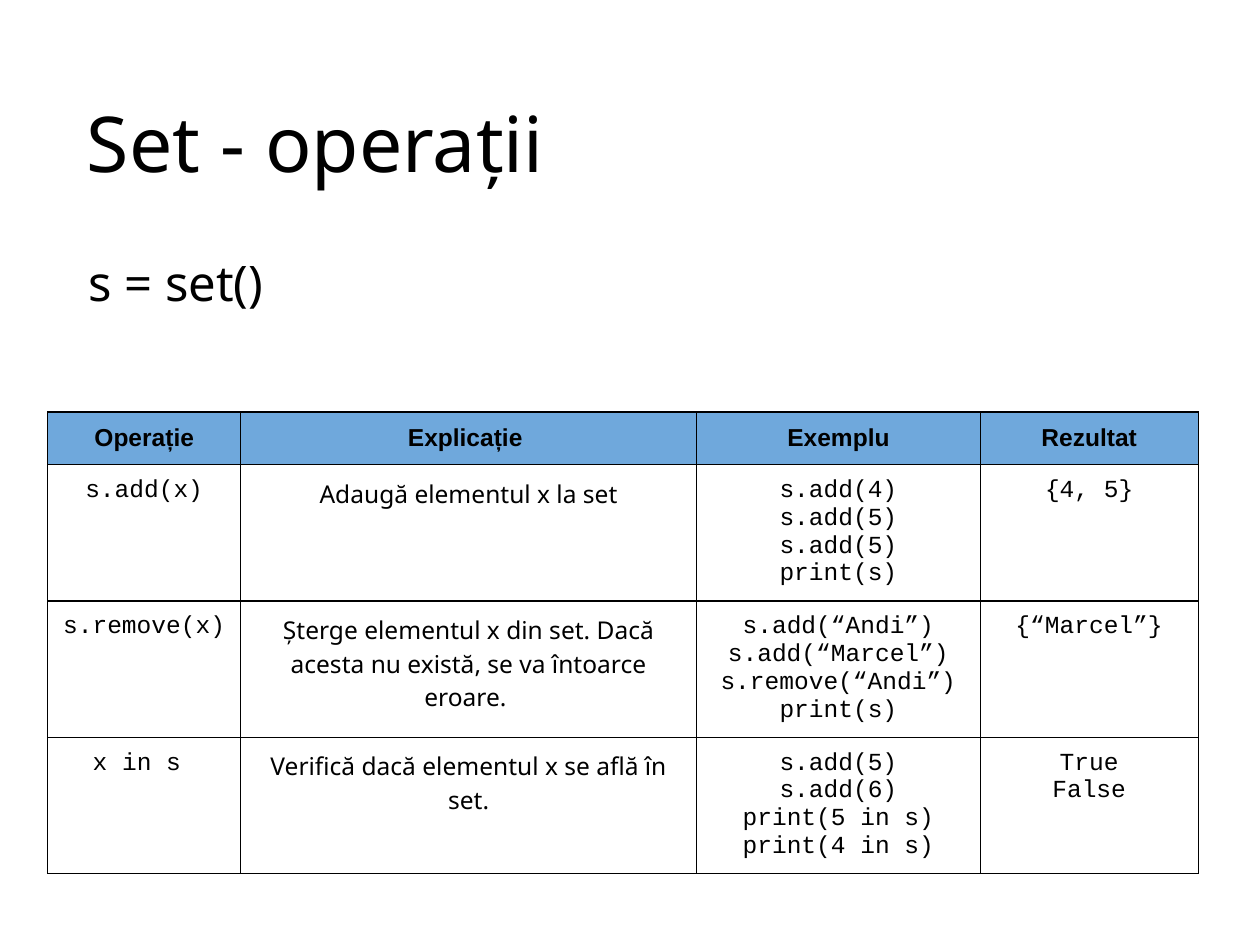
from dataclasses import dataclass

from lxml.etree import SubElement
from pptx import Presentation
from pptx.dml.color import RGBColor
from pptx.enum.text import MSO_ANCHOR, MSO_AUTO_SIZE, PP_ALIGN
from pptx.oxml.ns import qn
from pptx.util import Inches, Pt


@dataclass(frozen=True)
class Theme:
    ink: str = "000000"
    header_fill: str = "6FA8DC"
    title_size: int = 44
    body_size: int = 28
    table_size: int = 14
    border_width: float = 0.75
    text_font: str = "Noto Sans"
    header_font: str = "Arial"
    code_font: str = "Courier New"


theme = Theme()


def format_text(text_frame, font_name, size, alignment, bold=False):
    for paragraph in text_frame.paragraphs:
        paragraph.alignment = alignment
        paragraph.space_before = Pt(0)
        for run in paragraph.runs:
            run.font.name = font_name
            run.font.size = Pt(size)
            run.font.bold = bold
            run.font.color.rgb = RGBColor.from_string(theme.ink)


def add_borders(cell):
    properties = cell._tc.get_or_add_tcPr()
    for side in ("lnL", "lnR", "lnT", "lnB"):
        line = SubElement(properties, qn(f"a:{side}"), w=str(Pt(theme.border_width)))
        fill = SubElement(line, qn("a:solidFill"))
        SubElement(fill, qn("a:srgbClr"), val=theme.ink)


presentation = Presentation()
presentation.slide_width = Inches(10)
presentation.slide_height = Inches(7.5)
slide = presentation.slides.add_slide(presentation.slide_layouts[1])

title = slide.shapes.title
body = slide.placeholders[1]
placeholders = [
    (title, "Set - operații", (0.69, 0.4, 8.62, 1.45), theme.title_size, MSO_ANCHOR.MIDDLE),
    (body, "s = set()", (0.7, 2, 8.62, 4.64), theme.body_size, MSO_ANCHOR.TOP),
]
for shape, text, position, size, anchor in placeholders:
    shape.left, shape.top, shape.width, shape.height = map(Inches, position)
    text_frame = shape.text_frame
    text_frame.text = text
    text_frame.word_wrap = True
    text_frame.auto_size = MSO_AUTO_SIZE.NONE
    text_frame.vertical_anchor = anchor
    text_frame.margin_left = text_frame.margin_right = 0
    text_frame.margin_top = text_frame.margin_bottom = 0
    properties = text_frame.paragraphs[0]._p.get_or_add_pPr()
    properties.set("marL", "0")
    properties.set("indent", "0")
    SubElement(properties, qn("a:buNone"))
    format_text(text_frame, theme.text_font, size, PP_ALIGN.LEFT)

rows = [
    ("Operație", "Explicație ", "Exemplu", "Rezultat"),
    ("s.add(x)", "Adaugă elementul x la set",
     "s.add(4)\ns.add(5)\ns.add(5)\nprint(s)", "{4, 5}"),
    ("s.remove(x)",
     "Șterge elementul x din set. Dacă acesta nu există, se va întoarce eroare. ",
     "s.add(“Andi”)\ns.add(“Marcel”)\ns.remove(“Andi”)\nprint(s)", "{“Marcel”}"),
    ("x in s ", "Verifică dacă elementul x se află în set.",
     "s.add(5)\ns.add(6)\nprint(5 in s)\nprint(4 in s)", "True\nFalse"),
]
column_widths = (1.53, 3.62, 2.25, 1.73)
row_heights = (0.41, 1.08, 1.08, 1.08)
column_fonts = (theme.code_font, theme.text_font, theme.code_font, theme.code_font)

table = slide.shapes.add_table(
    len(rows), len(column_widths), Inches(0.38), Inches(3.27),
    Inches(sum(column_widths)), Inches(sum(row_heights)),
).table
for column, width in zip(table.columns, column_widths):
    column.width = Inches(width)
for row, height in zip(table.rows, row_heights):
    row.height = Inches(height)

for row_index, texts in enumerate(rows):
    is_header = row_index == 0
    for column_index, text in enumerate(texts):
        cell = table.cell(row_index, column_index)
        cell.text_frame.text = text
        cell.margin_left = cell.margin_right = Inches(0.1)
        cell.margin_top = cell.margin_bottom = Inches(0.1)
        add_borders(cell)
        if is_header:
            cell.fill.solid()
            cell.fill.fore_color.rgb = RGBColor.from_string(theme.header_fill)
        else:
            cell.fill.background()
        font_name = theme.header_font if is_header else column_fonts[column_index]
        format_text(cell.text_frame, font_name, theme.table_size, PP_ALIGN.CENTER, is_header)

presentation.save("out.pptx")
